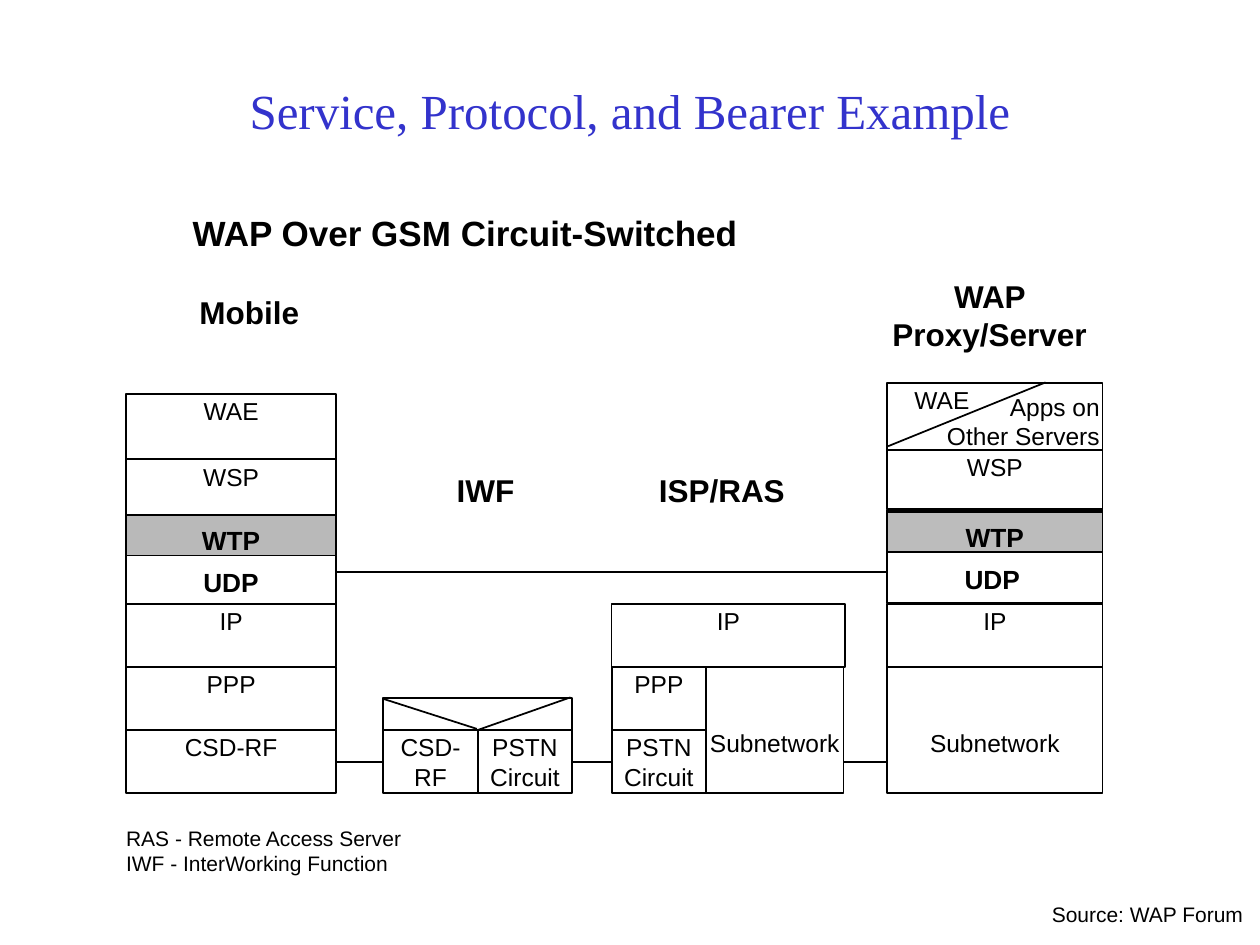
from lxml import etree
from pptx import Presentation
from pptx.dml.color import RGBColor
from pptx.enum.shapes import MSO_CONNECTOR, MSO_SHAPE
from pptx.enum.text import MSO_ANCHOR, PP_ALIGN
from pptx.oxml.ns import qn
from pptx.util import Pt

BLACK, WHITE, TITLE_BLUE = "000000", "FFFFFF", "3333CC"
MOBILE_GRAY, PROXY_GRAY = "B9B9B9", "BCBCBC"

ROW = 36
IP_TOP, PPP_TOP, BEARER_TOP = (345 + ROW * i for i in range(3))
MOBILE_LEFT, MOBILE_WIDTH = 72, 120.25
IWF_LEFT, ISP_LEFT, HALF = 219, 349.5, 54
PROXY_LEFT, PROXY_WIDTH = 507, 123


def rgb(value):
    return RGBColor.from_string(value)


def write(shape, text, size=14, font="Arial", color=BLACK, bold=False,
          align=PP_ALIGN.CENTER, anchor=MSO_ANCHOR.TOP, spacing=None,
          insets=(1.5, 1.5), top_inset=None, wrap=True):
    """Fill a shape with one paragraph per line; insets are (sides, top and bottom)."""
    frame = shape.text_frame
    frame.word_wrap = wrap
    frame.vertical_anchor = anchor
    frame.margin_left = frame.margin_right = Pt(insets[0])
    frame.margin_bottom = Pt(insets[1])
    frame.margin_top = Pt(insets[1] if top_inset is None else top_inset)
    for i, line in enumerate(text.split("\n")):
        paragraph = frame.add_paragraph() if i else frame.paragraphs[0]
        paragraph.alignment = align
        if spacing:
            paragraph.line_spacing = spacing
        run = paragraph.add_run()
        run.text = line
        run.font.name = font
        run.font.size = Pt(size)
        run.font.bold = bold
        run.font.color.rgb = rgb(color)


def add_box(slide, left, top, width, height, text="", fill=WHITE, outline=BLACK, **style):
    box = slide.shapes.add_shape(MSO_SHAPE.RECTANGLE, Pt(left), Pt(top), Pt(width), Pt(height))
    box.shadow.inherit = False
    box.fill.solid()
    box.fill.fore_color.rgb = rgb(fill)
    if outline:
        box.line.color.rgb = rgb(outline)
        box.line.width = Pt(1)
    else:
        box.line.fill.background()
    if text:
        write(box, text, **style)


def add_label(slide, left, top, width, height, text, **style):
    label = slide.shapes.add_textbox(Pt(left), Pt(top), Pt(width), Pt(height))
    write(label, text, **style)


def add_line(slide, x1, y1, x2, y2):
    line = slide.shapes.add_connector(MSO_CONNECTOR.STRAIGHT, Pt(x1), Pt(y1), Pt(x2), Pt(y2))
    line.line.color.rgb = rgb(BLACK)
    line.line.width = Pt(1)
    etree.SubElement(line._element.spPr, qn("a:effectLst"))


def add_stack(slide, left, width, rows):
    for text, top, height in rows:
        add_box(slide, left, top, width, height, text)


def add_transport(slide, left, width, top, height, wtp_top, udp_top, gray):
    """Draw the shared WTP and UDP layers of an end point."""
    style = dict(size=15, bold=True, spacing=1.3)
    add_box(slide, left, top, width, height)
    add_box(slide, left, wtp_top, width, 23, "WTP", fill=gray, anchor=MSO_ANCHOR.MIDDLE,
            insets=(9.36, 4.32), wrap=False, **style)
    add_label(slide, left, udp_top, 120, 32.4, "UDP", insets=(1.5, 4.32), **style)


def add_mobile(slide):
    add_stack(slide, MOBILE_LEFT, MOBILE_WIDTH, [
        ("WAE", 225, 37.5), ("WSP", 262.5, 32.5), ("IP", IP_TOP, ROW),
        ("PPP", PPP_TOP, ROW), ("CSD-RF", BEARER_TOP, ROW)])
    add_transport(slide, MOBILE_LEFT, MOBILE_WIDTH, 294.5, 50.5, 294.5, 314, MOBILE_GRAY)


def add_interworking(slide):
    middle, right = IWF_LEFT + HALF, IWF_LEFT + 2 * HALF
    add_stack(slide, IWF_LEFT, HALF, [("CSD-RF", BEARER_TOP, ROW)])
    add_stack(slide, middle, HALF, [("PSTN\nCircuit", BEARER_TOP, ROW)])
    add_box(slide, IWF_LEFT, 399, 2 * HALF, 18)
    add_line(slide, IWF_LEFT + 0.5, 399.5, middle - 0.5, 416.5)
    add_line(slide, middle + 0.5, 417, right - 1, 398.5)


def add_access_server(slide):
    add_box(slide, ISP_LEFT + HALF, PPP_TOP, 78.5, 2 * ROW, "Subnetwork", top_inset=35)
    add_stack(slide, ISP_LEFT, HALF, [
        ("PSTN\nCircuit", BEARER_TOP, ROW), ("PPP", PPP_TOP, ROW)])
    add_box(slide, ISP_LEFT, IP_TOP, 133.5, ROW, "IP")


def add_proxy(slide):
    add_box(slide, PROXY_LEFT, PPP_TOP, PROXY_WIDTH, 2 * ROW, "Subnetwork", top_inset=35)
    add_stack(slide, PROXY_LEFT, PROXY_WIDTH, [
        ("IP", IP_TOP, ROW), ("WSP", 257, 34), ("", 219, 38)])
    add_line(slide, PROXY_LEFT + 0.5, 255, 597.5, 218.5)
    add_label(slide, PROXY_LEFT, 218.5, 62.5, 18, "WAE")
    add_label(slide, 532, 222.5, 98, 33, "Apps on\nOther Servers", align=PP_ALIGN.RIGHT)
    add_transport(slide, PROXY_LEFT, PROXY_WIDTH, 291.5, 53, 292.5, 312, PROXY_GRAY)


def main():
    prs = Presentation()
    prs.slide_width, prs.slide_height = Pt(720), Pt(540)
    slide = prs.slides.add_slide(prs.slide_layouts[5])

    title = slide.shapes.title
    title.left, title.top, title.width, title.height = Pt(54), Pt(18), Pt(612), Pt(90)
    write(title, "Service, Protocol, and Bearer Example", size=28, font="Times New Roman",
          color=TITLE_BLUE, anchor=MSO_ANCHOR.MIDDLE, insets=(7.2, 3.6))
    add_label(slide, 103, 120, 593, 35, "WAP Over GSM Circuit-Switched", size=20, bold=True,
              align=PP_ALIGN.LEFT, spacing=0.9, insets=(7.2, 3.6))

    for y in (327, 435.5):
        add_line(slide, MOBILE_LEFT + MOBILE_WIDTH, y, PROXY_LEFT, y)
    add_mobile(slide)
    add_interworking(slide)
    add_access_server(slide)
    add_proxy(slide)

    for text, left, top, width, height in [
            ("Mobile", 102, 166, 81, 27), ("IWF", 237, 267.5, 81, 27),
            ("ISP/RAS", 372, 267.5, 81, 27), ("WAP Proxy/Server", 507, 157, 117, 45)]:
        add_box(slide, left, top, width, height, text, outline=None, size=18, bold=True)

    note = dict(size=12, align=PP_ALIGN.LEFT, insets=(7.2, 3.6), wrap=False)
    add_label(slide, 65, 468, 172, 36,
              "RAS - Remote Access Server\nIWF - InterWorking Function", **note)
    add_label(slide, 594, 511.5, 124.5, 21.5, "Source: WAP Forum", **note)
    prs.save("out.pptx")


if __name__ == "__main__":
    main()
